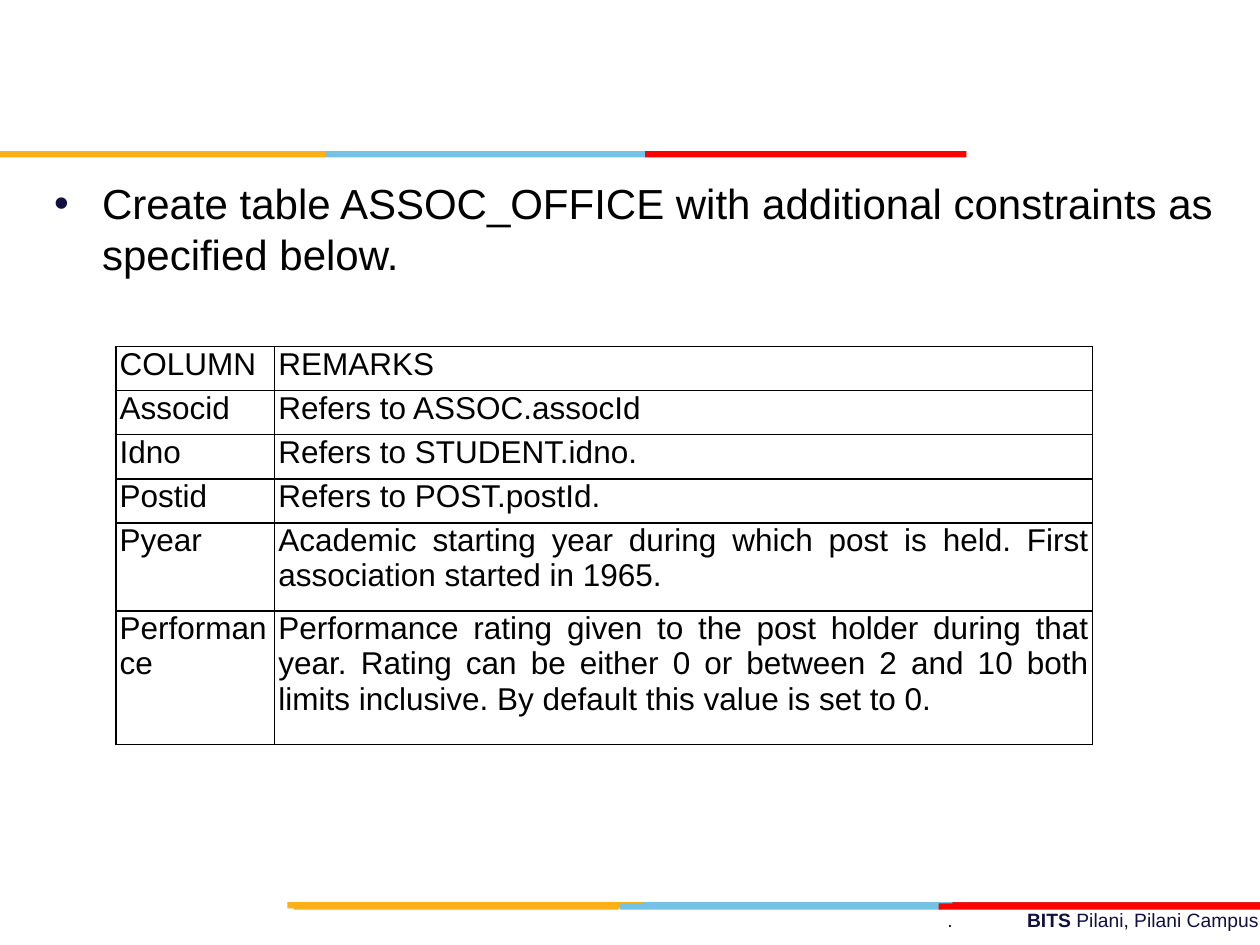
"""Build the ASSOC_OFFICE constraints slide."""
from dataclasses import dataclass

import lxml.etree
import pptx
import pptx.dml.color
import pptx.enum.shapes
import pptx.enum.text
import pptx.oxml.ns
import pptx.util

Inches = pptx.util.Inches
Pt = pptx.util.Pt
RGBColor = pptx.dml.color.RGBColor
Align = pptx.enum.text.PP_ALIGN
qn = pptx.oxml.ns.qn

NAVY = RGBColor(0x10, 0x11, 0x41)
BLACK = RGBColor(0, 0, 0)
BLUE = RGBColor(0x76, 0xC2, 0xE5)
GOLD = RGBColor(0xFC, 0xB0, 0x17)
CRIMSON = RGBColor(0xE3, 0x1C, 0x24)
RED = RGBColor(0xFF, 0, 0)
FONT = "Arial"


@dataclass
class Band:
    left: float
    top: float
    width: float
    color: RGBColor


@dataclass
class Row:
    column: str
    remarks: str
    height: float = 0.35


BANDS = [
    Band(5.06, 7.16, 2.55, BLUE),
    Band(7.56, 7.16, 2.44, CRIMSON),
    Band(2.28, 7.16, 2.82, GOLD),
    Band(4.92, 7.17, 2.55, BLUE),
    Band(2.33, 7.17, 2.58, GOLD),
    Band(7.45, 7.17, 2.55, RED),
    Band(2.58, 1.2, 2.55, BLUE),
    Band(0, 1.2, 2.58, GOLD),
    Band(5.12, 1.2, 2.55, RED),
]
ROWS = [
    Row("COLUMN", "REMARKS"),
    Row("Associd", "Refers to ASSOC.assocId"),
    Row("Idno", "Refers to STUDENT.idno."),
    Row("Postid", "Refers to POST.postId."),
    Row("Pyear", "Academic starting year during which post is held. "
        "First association started in 1965.", 0.7),
    Row("Performance", "Performance rating given to the post holder during that year. "
        "Rating can be either 0 or between 2 and 10 both limits inclusive. "
        "By default this value is set to 0.", 1.06),
]
COLUMN_WIDTHS = [1.26, 6.49]


def add_run(paragraph, text: str, size: float, color: RGBColor, bold: bool = False) -> None:
    run = paragraph.add_run()
    run.text = text
    run.font.name = FONT
    run.font.size = Pt(size)
    run.font.bold = bold
    run.font.color.rgb = color


def add_band(slide, band: Band) -> None:
    shape = slide.shapes.add_shape(
        pptx.enum.shapes.MSO_SHAPE.RECTANGLE,
        Inches(band.left), Inches(band.top), Inches(band.width), Inches(0.05))
    shape.shadow.inherit = False
    shape.fill.solid()
    shape.fill.fore_color.rgb = band.color
    shape.line.fill.background()


def add_footer(slide, left: float, width: float, runs: list[tuple[str, bool]]) -> None:
    box = slide.shapes.add_textbox(Inches(left), Inches(7.16), Inches(width), Inches(0.29))
    box.text_frame.word_wrap = True
    paragraph = box.text_frame.paragraphs[0]
    paragraph.alignment = Align.RIGHT
    for text, bold in runs:
        add_run(paragraph, text, 11, NAVY, bold)


def fill_body(slide) -> None:
    body = slide.placeholders[1]
    body.left, body.top = Inches(0.33), Inches(1.33)
    body.width, body.height = Inches(9.42), Inches(5.58)
    frame = body.text_frame
    frame.auto_size = pptx.enum.text.MSO_AUTO_SIZE.NONE
    frame.margin_top = Inches(0.08)
    paragraph = frame.paragraphs[0]
    properties = paragraph._p.get_or_add_pPr()
    properties.set("marL", str(Inches(0.38)))
    properties.set("indent", str(-Inches(0.38)))
    bullet_color = lxml.etree.SubElement(properties, qn("a:buClr"))
    lxml.etree.SubElement(bullet_color, qn("a:srgbClr"), val=str(NAVY))
    lxml.etree.SubElement(properties, qn("a:buChar"), char="•")
    paragraph.space_before = Pt(0)
    add_run(paragraph, "Create table ASSOC_OFFICE with additional constraints "
            "as specified below.", 24, BLACK)


def fill_cell(cell, text: str) -> None:
    cell.margin_left = cell.margin_right = Inches(0.03)
    cell.margin_top = cell.margin_bottom = 0
    properties = cell._tc.get_or_add_tcPr()
    for side in ("lnL", "lnR", "lnT", "lnB"):
        border = lxml.etree.SubElement(properties, qn(f"a:{side}"), w=str(Pt(1)))
        solid = lxml.etree.SubElement(border, qn("a:solidFill"))
        lxml.etree.SubElement(solid, qn("a:srgbClr"), val=str(BLACK))
    cell.fill.background()
    paragraph = cell.text_frame.paragraphs[0]
    paragraph.alignment = Align.JUSTIFY
    add_run(paragraph, text, 18, BLACK)


def add_remarks_table(slide) -> None:
    table = slide.shapes.add_table(
        len(ROWS), len(COLUMN_WIDTHS), Inches(0.92), Inches(2.75),
        Inches(sum(COLUMN_WIDTHS)), Inches(sum(row.height for row in ROWS))).table
    table.first_row = table.horz_banding = False
    for column, width in zip(table.columns, COLUMN_WIDTHS):
        column.width = Inches(width)
    for index, row in enumerate(ROWS):
        table.rows[index].height = Inches(row.height)
        fill_cell(table.cell(index, 0), row.column)
        fill_cell(table.cell(index, 1), row.remarks)


def main() -> None:
    presentation = pptx.Presentation()
    presentation.slide_width, presentation.slide_height = Inches(10), Inches(7.5)
    slide = presentation.slides.add_slide(presentation.slide_layouts[1])
    title = slide.shapes.title
    title.element.getparent().remove(title.element)
    add_footer(slide, 6.66, 1, [(".", False)])
    add_footer(slide, 7.69, 2.4, [("BITS ", True), ("Pilani, Pilani Campus", False)])
    for band in BANDS:
        add_band(slide, band)
    fill_body(slide)
    add_remarks_table(slide)
    presentation.save("out.pptx")


if __name__ == "__main__":
    main()
